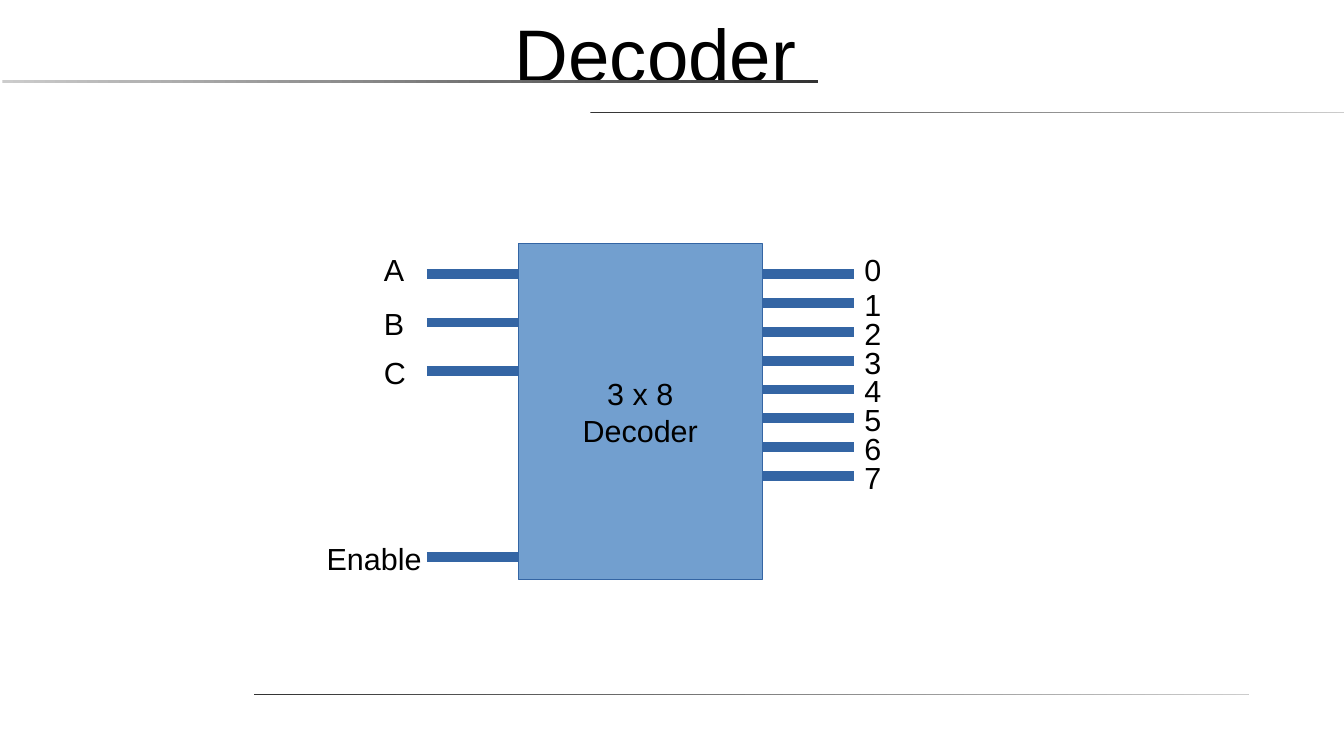
import pptx
import pptx.dml.color
import pptx.enum.shapes
import pptx.enum.text
import pptx.oxml
import pptx.util

RGB = pptx.dml.color.RGBColor
BLACK = RGB(0, 0, 0)
DARK = RGB(0x33, 0x33, 0x33)
LIGHT = RGB(0xCC, 0xCC, 0xCC)
BLUE = RGB(0x72, 0x9F, 0xCF)
NAVY = RGB(0x34, 0x65, 0xA4)
WIDE, TALL = 11.02, 6.2
CELL = 0.25
INCH = pptx.util.Inches
ALIGN = pptx.enum.text.PP_ALIGN
ANCHOR = pptx.enum.text.MSO_ANCHOR
RECT = pptx.enum.shapes.MSO_SHAPE.RECTANGLE
LINE = pptx.enum.shapes.MSO_CONNECTOR.STRAIGHT


def write(shape, text, size=18, align=ALIGN.LEFT, anchor=ANCHOR.TOP,
          wrap=False, pad=(0.1, 0.05)):
    """Put formatted text into a shape, one paragraph a line."""
    frame = shape.text_frame
    frame.text = text
    frame.auto_size = pptx.enum.text.MSO_AUTO_SIZE.NONE
    frame.word_wrap = wrap
    frame.vertical_anchor = anchor
    frame.margin_left = frame.margin_right = INCH(pad[0])
    frame.margin_top = frame.margin_bottom = INCH(pad[1])
    for para in frame.paragraphs:
        para.alignment = align
        para.font.size = pptx.util.Pt(size)
        para.font.name = "Arial"
        para.font.color.rgb = BLACK


def place(slide, left, top, wide, tall):
    """Add a plain rectangle without shadow."""
    shape = slide.shapes.add_shape(RECT, *map(INCH, (left, top, wide, tall)))
    shape.shadow.inherit = False
    return shape


def rule(slide, box, start, end):
    """Draw a thin bar that fades from start to end colour."""
    bar = place(slide, *box)
    bar.line.fill.background()
    bar.fill.gradient()
    bar.fill.gradient_angle = 0
    for stop, tint in zip(bar.fill.gradient_stops, (start, end)):
        stop.color.rgb = tint


def head(slide, box):
    """Format the title in its box."""
    title = slide.shapes.title
    title.left, title.top, title.width, title.height = map(INCH, box)
    write(title, "Decoder", size=44, align=ALIGN.CENTER,
          anchor=ANCHOR.MIDDLE, wrap=True, pad=(0, 0))


def pin(slide, name, left, row, tag, wide, lift=0.19):
    """Draw one pin and its label, which starts at tag."""
    wire = slide.shapes.add_connector(
        LINE, *map(INCH, (left, row, left + 3 * CELL, row)))
    wire.line.color.rgb = NAVY
    wire.line.width = pptx.util.Pt(5.75)
    wire._element.spPr.append(pptx.oxml.parse_xml(
        '<a:effectLst xmlns:a="http://schemas.openxmlformats.org/drawingml/2006/main"/>'))
    label = slide.shapes.add_textbox(
        *map(INCH, (tag, row - lift, wide, 0.38)))
    write(label, name)


def chip(slide, box):
    """Draw the decoder block with its pins around the box."""
    left, top, wide, tall = box
    body = place(slide, *box)
    body.fill.solid()
    body.fill.fore_color.rgb = BLUE
    body.line.color.rgb = NAVY
    body.line.width = 0
    write(body, "3 x 8\nDecoder", align=ALIGN.CENTER,
          anchor=ANCHOR.MIDDLE, wrap=True)
    first = top + CELL
    west, east = left - 3 * CELL, left + wide
    sides = (("ABC", west, west - 0.45, 0.36, 0.395),
             ("01234567", east, east + 0.74, 0.34, 0.236))
    for names, edge, tag, width, pitch in sides:
        for i, name in enumerate(names):
            lift = 0.19 if i else 0.24
            pin(slide, name, edge, first + i * pitch, tag, width, lift)
    pin(slide, "Enable", west, top + tall - 0.18, west - 0.92, 0.98)


def main():
    """Build the slide and save it."""
    deck = pptx.Presentation()
    deck.slide_width, deck.slide_height = INCH(WIDE), INCH(TALL)
    slide = deck.slides.add_slide(deck.slide_layouts[5])
    rule(slide, (0.02, 0.66, 6.69, 0.02), LIGHT, DARK)
    rule(slide, (4.84, 0.92, 6.2, 0.01), DARK, LIGHT)
    rule(slide, (2.08, 5.69, 8.16, 0.01), DARK, LIGHT)
    head(slide, (0.16, 0.08, 10.43, 0.71))
    chip(slide, (17 * CELL, 8 * CELL, 8 * CELL, 11 * CELL))
    deck.save("out.pptx")


if __name__ == "__main__":
    main()
